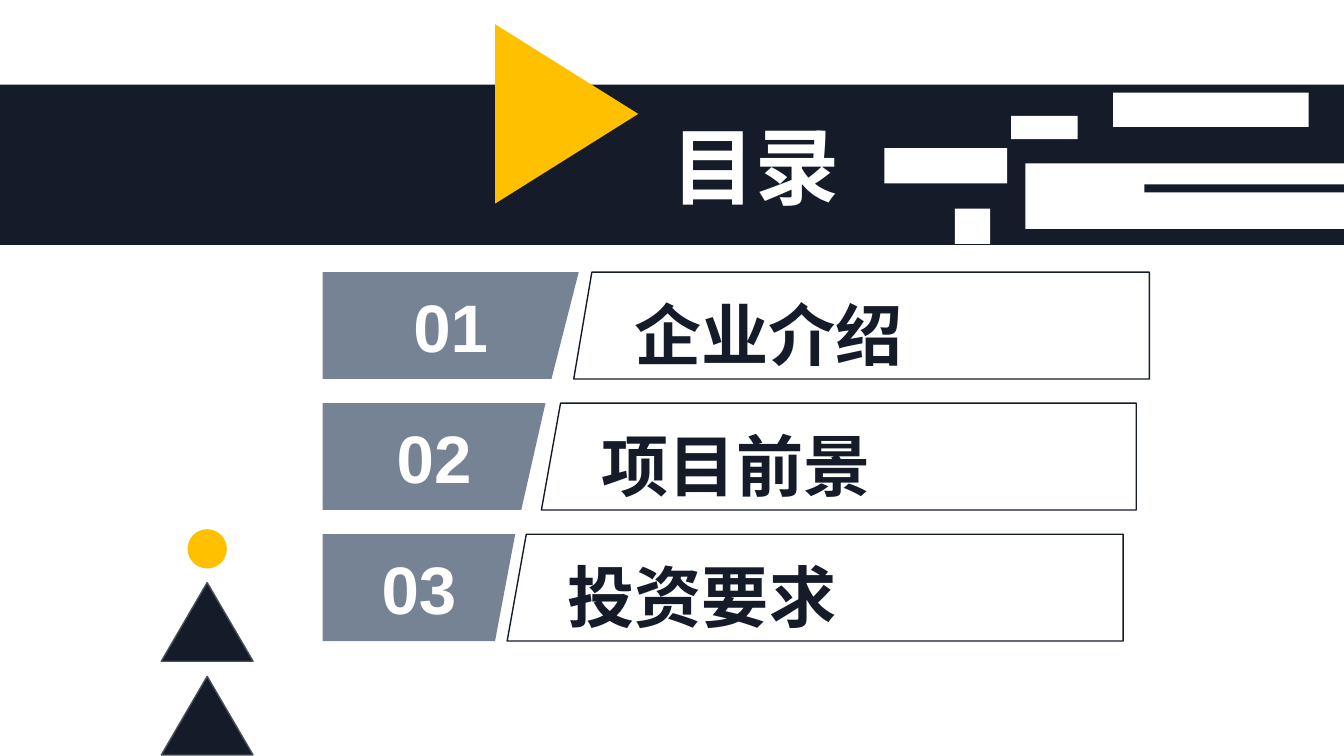
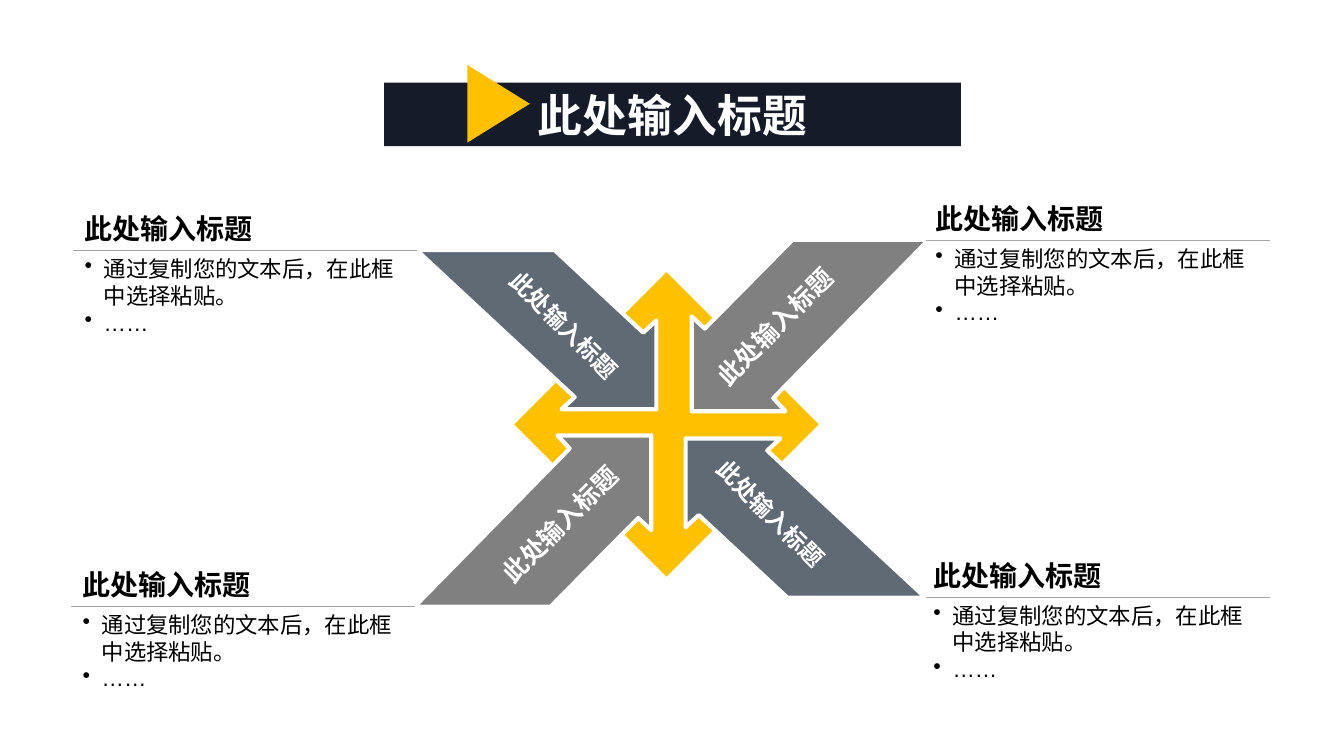
from dataclasses import dataclass

from lxml import etree
from pptx import Presentation, util as u
from pptx.dml.color import RGBColor
from pptx.enum import shapes, text
from pptx.oxml.ns import qn

PX = 9144  # EMU in one px: 100 px to the inch


@dataclass(frozen=True)
class Theme:
    font: str = "Arial"
    navy: str = "151B29"
    white: str = "FFFFFF"
    black: str = "000000"
    amber: str = "FFC000"
    slate: str = "768395"
    steel: str = "606A74"
    gray: str = "808080"
    edge: str = "474E56"
    rule: str = "A6A6A6"
    cover: float = 60
    item: float = 48
    title: float = 32
    heading: float = 20
    label: float = 18
    label_small: float = 16.6
    body: float = 16


T = Theme()
SHAPE = shapes.MSO_SHAPE
ANCHOR = text.MSO_ANCHOR
ALIGN = text.PP_ALIGN
PLACEHOLDER = "此处输入标题"
BULLETS = ["通过复制您的文本后，在此框中选择粘贴。", "……"]


# Basic elements

def px(*values):
    return [u.Emu(v * PX) for v in values]


def rgb(color):
    return RGBColor.from_string(color)


def paint(sp, fill, line=None, width=1):
    sp.shadow.inherit = False
    sp.fill.solid()
    sp.fill.fore_color.rgb = rgb(fill)
    if line:
        sp.line.color.rgb = rgb(line)
        sp.line.width = u.Pt(width)
    else:
        sp.line.fill.background()
    return sp


def add_shape(s, kind, box, fill, line=None):
    return paint(s.shapes.add_shape(kind, *px(*box)), fill, line)


def add_outline(s, points, fill, line=None, width=1):
    builder = s.shapes.build_freeform(*points[0], scale=PX)
    builder.add_line_segments(points[1:], close=True)
    return paint(builder.convert_to_shape(), fill, line, width)


def write(sp, lines, size, color, bold=True, align=ALIGN.LEFT, anchor=ANCHOR.MIDDLE,
          spacing=None, indent=0, bullet=False):
    tf = sp.text_frame
    tf.word_wrap = True
    tf.vertical_anchor = anchor
    for i, line in enumerate(lines):
        p = tf.paragraphs[0] if i == 0 else tf.add_paragraph()
        p.alignment = align
        if spacing:
            p.line_spacing = spacing
        p_pr = p._p.get_or_add_pPr()
        if bullet:
            p_pr.set("marL", str(19 * PX))
            p_pr.set("indent", str(-19 * PX))
            etree.SubElement(p_pr, qn("a:buChar")).set("char", "•")
        elif indent:
            p_pr.set("indent", str(indent * PX))
        r = p.add_run()
        r.text = line
        r.font.size = u.Pt(size)
        r.font.bold = bold
        r.font.color.rgb = rgb(color)
        r.font.name = T.font
        etree.SubElement(r._r.get_or_add_rPr(), qn("a:ea")).set("typeface", T.font)


def add_text(s, box, lines, size, color, rotation=0, **style):
    sp = s.shapes.add_textbox(*px(*box))
    sp.rotation = rotation
    write(sp, lines, size, color, **style)


def add_rule(s, x, y, width):
    line = s.shapes.add_connector(shapes.MSO_CONNECTOR.STRAIGHT, *px(x, y, x + width, y))
    line.line.color.rgb = rgb(T.rule)
    line.line.width = u.Pt(0.25)
    etree.SubElement(line._element.spPr, qn("a:effectLst"))


# Shared by both slides

def add_band(s, box):
    return add_shape(s, SHAPE.RECTANGLE, box, T.navy)


def add_pointer(s, box):
    add_shape(s, SHAPE.ISOSCELES_TRIANGLE, box, T.amber).rotation = 90


# Contents slide

def add_item(s, top, number, name, tab_right, tab_slant, box_left, box_slant, box_right):
    left, bottom = 320, top + 106
    box = add_outline(s, [(box_left + box_slant, top), (box_right, top),
                          (box_right, bottom), (box_left, bottom)], T.white, T.navy)
    write(box, [name], T.item, T.navy, spacing=1.2, indent=50)
    tab = add_outline(s, [(left, top), (tab_right, top),
                          (tab_right - tab_slant, bottom), (left, bottom)], T.slate)
    write(tab, [number], T.item, T.white, align=ALIGN.CENTER)


def contents_slide(prs):
    s = prs.slides.add_slide(prs.slide_layouts[6])
    items = [
        ("01", "企业介绍", 574, 27, 569, 18, 1140),
        ("02", "项目前景", 541, 24, 537, 19, 1127),
        ("03", "投资要求", 511, 20, 503, 19, 1114),
    ]
    for i, item in enumerate(items):
        add_item(s, 270 + 130 * i, *item)

    # Tree ornament
    for top in (671, 578):
        add_shape(s, SHAPE.ISOSCELES_TRIANGLE, (160, top, 91, 78), T.navy, T.edge)
    add_shape(s, SHAPE.OVAL, (186, 525, 39, 39), T.amber)

    # Band with its blocks
    add_band(s, (0, 84, 1333, 159))
    blocks = [(1104, 92, 194, 34), (1017, 162, 316, 65), (1003, 115, 66, 23),
              (947, 207, 35, 35), (877, 147, 122, 35)]
    for block in blocks:
        add_shape(s, SHAPE.RECTANGLE, block, T.white)
    add_band(s, (1135, 183, 198, 8))
    add_text(s, (109, 109, 733, 111), ["目录"], T.cover, T.white,
             align=ALIGN.RIGHT, anchor=ANCHOR.TOP)
    add_pointer(s, (473, 42, 178, 142))


# Arrows slide

def add_arrow(s, tail, turn, outline, color, label_at, label_width, size, rotation, spacing):
    x, y = tail
    points = [(x + turn * dx, y + turn * dy) for dx, dy in outline]
    add_outline(s, points, color, T.white, 3)
    add_text(s, (*label_at, label_width, 39), [PLACEHOLDER], size, T.white,
             rotation=rotation, spacing=spacing)


def add_caption(s, x, y, rule_x):
    add_rule(s, rule_x, y, 342)
    add_text(s, (x, y - 48, 341, 48), [PLACEHOLDER], T.heading, T.black,
             anchor=ANCHOR.BOTTOM)
    add_text(s, (x, y, 341, 95), BULLETS, T.body, T.black, bold=False,
             anchor=ANCHOR.TOP, bullet=True)


def arrows_slide(prs):
    s = prs.slides.add_slide(prs.slide_layouts[6])
    add_shape(s, SHAPE.DIAMOND, (510, 270, 302, 302), T.amber)

    # Opposite arrows are half-turns of one outline, measured from the tail
    falling = [(0, 0), (157, 146), (144, 158), (238, 158), (238, 70), (225, 82), (137, 0)]
    rising = [(0, 0), (-154, 157), (-142, 170), (-235, 170), (-235, 76), (-222, 88), (-135, 0)]
    steel = (169, T.label_small, 45, None)
    gray = (180, T.label, 315, 0.9)
    add_arrow(s, (413, 248), 1, falling, T.steel, (479, 307), *steel)
    add_arrow(s, (921, 238), 1, rising, T.gray, (683, 302), *gray)
    add_arrow(s, (411, 602), -1, rising, T.gray, (470, 498), *gray)
    add_arrow(s, (918, 593), -1, falling, T.steel, (684, 494), *steel)

    for x, y, rule_x in [(916, 592, 918), (918, 238, 918), (74, 248, 72), (72, 601, 70)]:
        add_caption(s, x, y, rule_x)

    # Title
    band = add_band(s, (381, 82, 572, 63))
    write(band, [PLACEHOLDER], T.title, T.white, align=ALIGN.CENTER, anchor=ANCHOR.BOTTOM)
    add_pointer(s, (456, 72, 77, 62))


def main():
    prs = Presentation()
    prs.slide_width, prs.slide_height = u.Inches(13.33), u.Inches(7.5)
    contents_slide(prs)
    arrows_slide(prs)
    prs.save("out.pptx")


if __name__ == "__main__":
    main()
